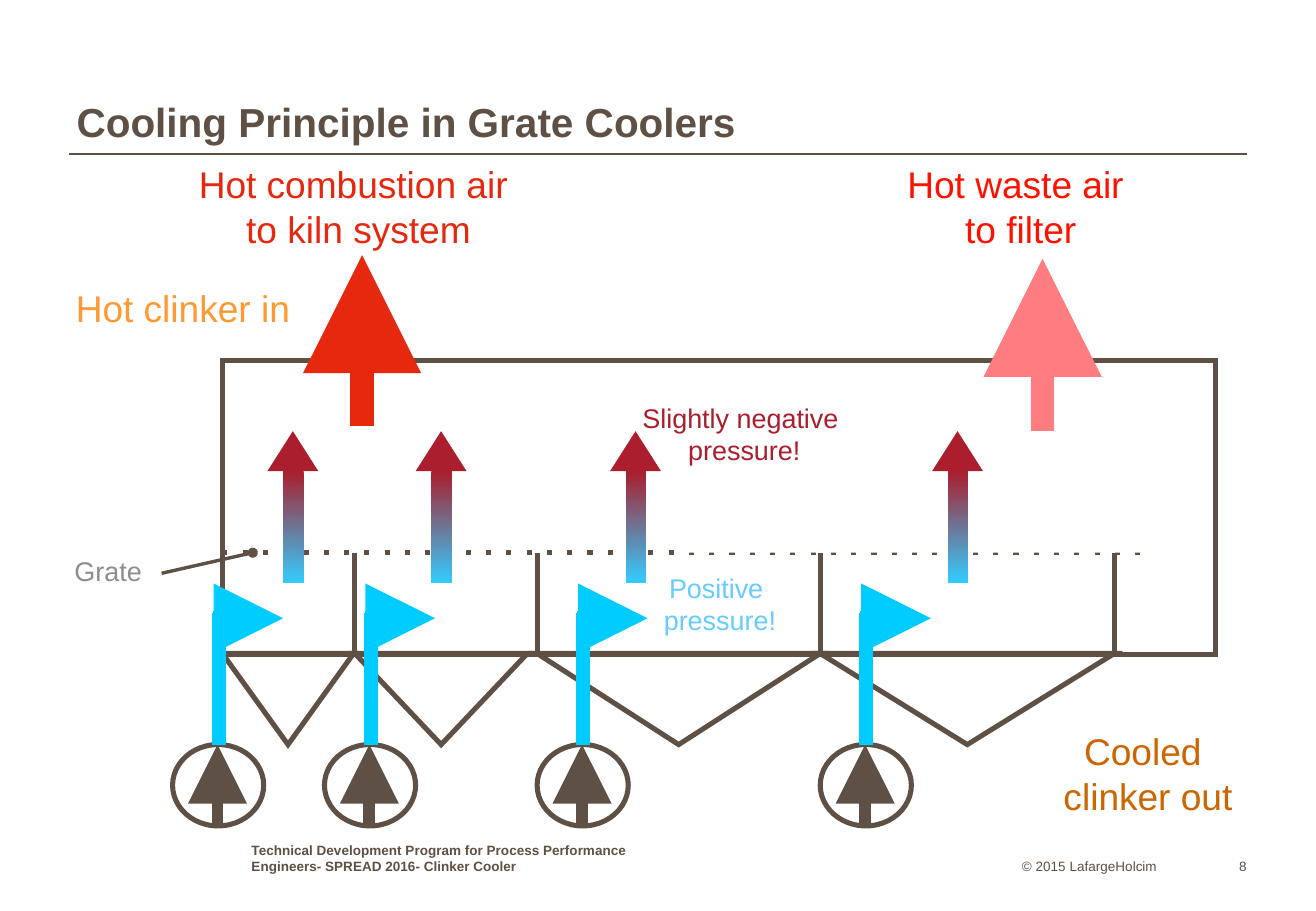
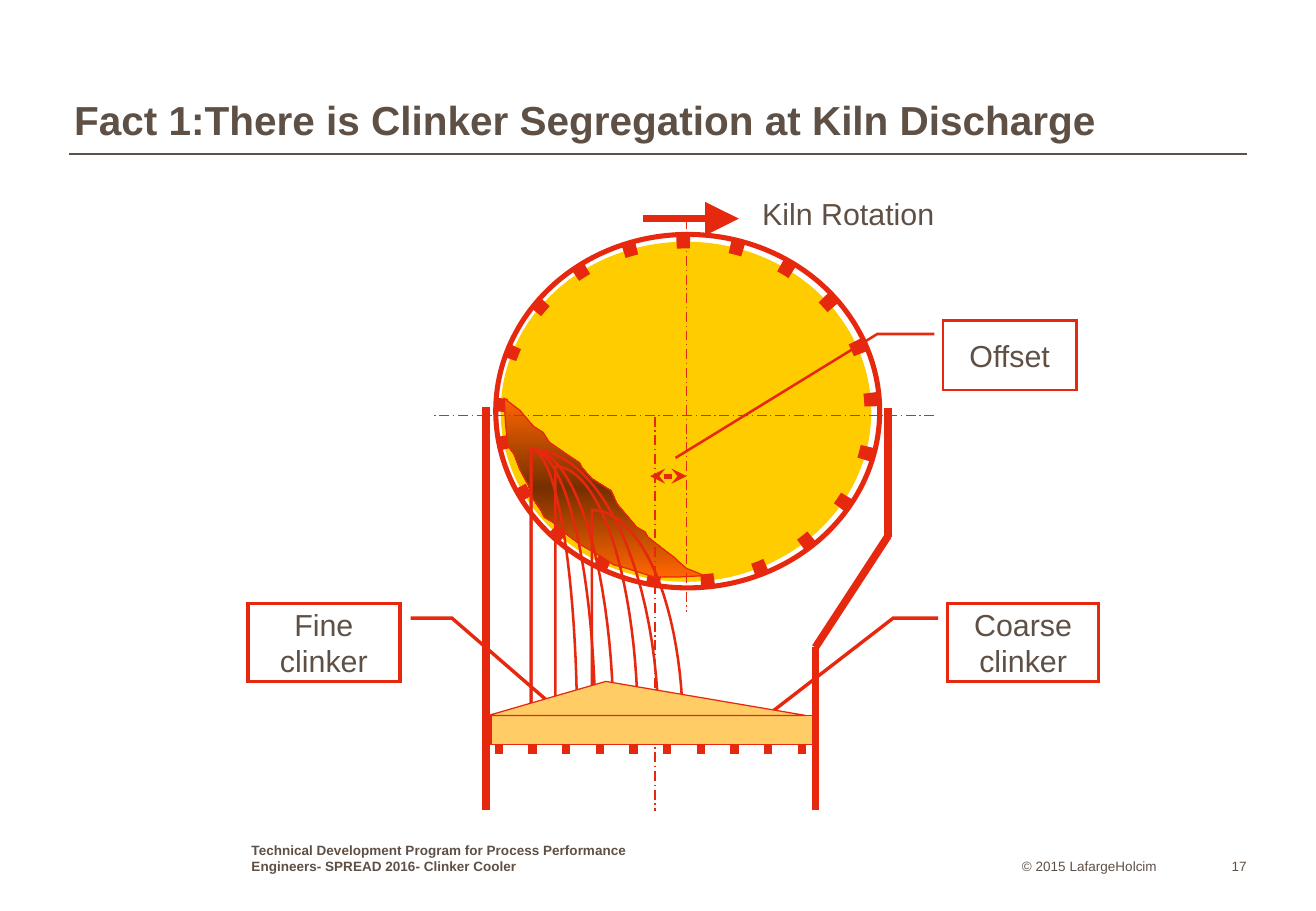
from copy import deepcopy
from math import cos, pi, sin

from lxml.etree import SubElement
from pptx import Presentation
from pptx.dml.color import RGBColor
from pptx.enum.shapes import MSO_CONNECTOR as Link, MSO_SHAPE as Kind
from pptx.enum.text import MSO_ANCHOR as Anchor, MSO_AUTO_SIZE as Fit, PP_ALIGN as Align
from pptx.oxml.ns import qn
from pptx.util import Pt

PX = 9144  # one hundred px to the inch
FONT = "Arial"
BROWN = RGBColor(0x5F, 0x50, 0x46)
RED = RGBColor(0xE6, 0x28, 0x0F)
BRIGHT = RGBColor(0xFF, 0x11, 0x00)
PINK = RGBColor(0xFF, 0x7C, 0x80)
WINE = RGBColor(0xAA, 0x1E, 0x2D)
BLUE = RGBColor(0x33, 0xCC, 0xFF)
CYAN = RGBColor(0x00, 0xCC, 0xFF)
PALE = RGBColor(0x66, 0xCC, 0xFF)
AMBER = RGBColor(0xFF, 0x99, 0x33)
RUST = RGBColor(0xCC, 0x66, 0x00)
GREY = RGBColor(0x8B, 0x8D, 0x8E)
WHITE = RGBColor(0xFF, 0xFF, 0xFF)
YELLOW = RGBColor(0xFF, 0xCC, 0x00)
SAND = RGBColor(0xFF, 0xCC, 0x66)
FLAME = RGBColor(0xFF, 0x66, 0x00)
BURNT = RGBColor(0x76, 0x2F, 0x00)

# Shared wording
COURSE = ("Technical Development Program for Process Performance "
          "Engineers- SPREAD 2016- Clinker Cooler")
RIGHTS = "© 2015 LafargeHolcim"

# Cooler slide: lines of text, box, size, colour
COOLER = "Cooling Principle in Grate Coolers"
NOTES = [
    (["Positive ", "pressure!"], (531, 465, 123, 64), 16, PALE),
    (["Hot combustion air ", "to kiln system"], (140, 128, 310, 91), 22, RED),
    (["Slightly negative ", "pressure!"], (518, 325, 189, 64), 16, WINE),
    (["Hot waste air ", "to filter"], (727, 128, 226, 91), 22, BRIGHT),
    (["Hot clinker in"], (43, 230, 215, 51), 22, AMBER),
    (["Cooled", " clinker out"], (849, 595, 183, 91), 22, RUST),
    (["Grate"], (49, 452, 80, 37), 16, GREY),
]
WALLS = [292, 442, 675, 917]
HOPPERS = [(183, 291), (292, 434), (442, 675), (675, 917)]
RISERS = [220, 342, 502, 767]
FANS = [142, 267, 442, 675]
VENTS = [(298, 351, 210, RED), (858, 355, 213, PINK)]

# Kiln slide: text, box, leader points, line width
KILN = "Fact 1:There is Clinker Segregation at Kiln Discharge"
CALLS = [
    ("Fine clinker", (204, 497, 125, 64), [(338, 509), (372, 509), (492, 613)], 2),
    ("Coarse clinker", (780, 497, 124, 64), [(772, 509), (735, 509), (603, 611)], 2),
    ("Offset", (776, 264, 110, 57), [(769, 275), (722, 275), (556, 377)], 1.5),
]
SHELL = [(731, 336, 731, 442), (731, 441, 671, 533),
         (671, 533, 671, 667), (400, 335, 400, 667)]
AXES = [(565, 180, 565, 504), (769, 342, 355, 342), (539, 343, 539, 668)]
# Falling clinker: start x, y, reach, drop
FALLS = [(437, 370, 38, 233), (437, 370, 53, 233), (437, 370, 68, 233),
         (437, 370, 105, 233), (457, 384, 68, 217), (487, 420, 75, 181)]
CHARGE = [
    (575, 472), (565, 468), (558, 462), (555, 459), (547, 453), (533, 442),
    (531, 438), (524, 434), (508, 415), (503, 404), (487, 394), (479, 385),
    (477, 381), (465, 373), (452, 364), (447, 356), (439, 351), (428, 338),
    (415, 328), (416, 348), (418, 367), (423, 374), (428, 387), (435, 400),
    (438, 410), (445, 420), (448, 426), (455, 430), (465, 439), (477, 448),
    (496, 459), (505, 465), (516, 468), (538, 475), (560, 475), (579, 474),
]


def emu(*sizes):
    return [round(n * PX) for n in sizes]


def ink(shape, color, width, dash=None, head=None, tail=None, size="med"):
    """Style an outline, with dash and arrowheads if asked for."""
    shape.line.color.rgb = color
    shape.line.width = Pt(width)
    ln = shape.element.spPr.find(qn("a:ln"))
    if dash:
        SubElement(ln, qn("a:prstDash"), val=dash)
    SubElement(ln, qn("a:miter"), lim="800000")
    for tag, end in (("a:headEnd", head), ("a:tailEnd", tail)):
        if end:
            SubElement(ln, qn(tag), type=end, w=size, len=size)


def draw(slide, ends, color, width, **style):
    line = slide.shapes.add_connector(Link.STRAIGHT, *emu(*ends))
    ink(line, color, width, **style)
    SubElement(line.element.spPr, qn("a:effectLst"))
    return line


def paint(shape, fill=None, line=None, width=1, dash=None):
    """Fill with nothing, one colour, or a list of colours from the top down."""
    shape.shadow.inherit = False
    if isinstance(fill, list):
        shape.fill.gradient()
        shape.fill.gradient_angle = 270
        stops = shape.element.spPr.find(".//" + qn("a:gsLst"))
        for _ in fill[2:]:
            stops.append(deepcopy(stops[0]))
        for i, (stop, color) in enumerate(zip(shape.fill.gradient_stops, fill)):
            stop.position = i / (len(fill) - 1)
            stop.color.rgb = color
    elif fill is None:
        shape.fill.background()
    else:
        shape.fill.solid()
        shape.fill.fore_color.rgb = fill
    if line is None:
        shape.line.fill.background()
    else:
        ink(shape, line, width, dash)
    return shape


def form(slide, kind, box, **style):
    return paint(slide.shapes.add_shape(kind, *emu(*box)), **style)


def trace(slide, points, **style):
    first, *rest = [emu(*p) for p in points]
    pen = slide.shapes.build_freeform(*first, scale=1.0)
    pen.add_line_segments(rest, close=True)
    return paint(pen.convert_to_shape(), **style)


def write(shape, lines, size, color, align=Align.CENTER, anchor=Anchor.TOP,
          bold=False, pads=(10, 5, 10, 5), wrap=True):
    frame = shape.text_frame
    frame.auto_size = Fit.NONE
    frame.word_wrap = wrap
    frame.vertical_anchor = anchor
    (frame.margin_left, frame.margin_top,
     frame.margin_right, frame.margin_bottom) = emu(*pads)
    para = frame.paragraphs[0]
    para.alignment = align
    for i, line in enumerate(lines):
        if i:
            para.add_line_break()
        run = para.add_run()
        run.text = line
        font = run.font
        font.name, font.size, font.bold = FONT, Pt(size), bold
        font.color.rgb = color
    return para


def label(slide, lines, box, size, color, **style):
    return write(slide.shapes.add_textbox(*emu(*box)), lines, size, color, **style)


def start(deck, title, left, top, number):
    """New slide with title, rule and footer."""
    slide = deck.slides.add_slide(deck.slide_layouts[5])
    head = slide.shapes.title
    head.left, head.top, head.width, head.height = emu(left, top, 960, 87)
    para = write(head, [title], 24, BROWN, align=Align.LEFT,
                 anchor=Anchor.BOTTOM, bold=True, pads=(0, 0, 0, 1))
    para.line_spacing = 0.95
    draw(slide, (57, 127, 1026, 127), BROWN, 1)
    foot = [(COURSE, 207, 347, Align.LEFT, True, True),
            (RIGHTS, 841, 132, Align.LEFT, False, False),
            (number, 979, 47, Align.RIGHT, False, True)]
    for text, x, width, align, bold, wrap in foot:
        label(slide, [text], (x, 702, width, 18), 8, BROWN, align=align,
              anchor=Anchor.BOTTOM, bold=bold, pads=(0, 0, 0, 0), wrap=wrap)
    return slide


def cooler(deck):
    slide = start(deck, COOLER, 63, 35, "8")
    # Housing, grate and hoppers
    form(slide, Kind.RECTANGLE, (183, 297, 817, 242), line=BROWN, width=3)
    draw(slide, (183, 455, 942, 455), BROWN, 3, dash="dot")
    for x in WALLS:
        draw(slide, (x, 455, x, 538), BROWN, 3)
    for left, right in HOPPERS:
        cone = form(slide, Kind.ISOSCELES_TRIANGLE, (left, 538, right - left, 75),
                    line=BROWN, width=3)
        cone.rotation = 180
    # Thin the right part of the grate
    form(slide, Kind.RECTANGLE, (558, 405, 383, 50), fill=WHITE)
    # Rising air
    for x in RISERS:
        form(slide, Kind.RECTANGLE, (x + 13, 388, 17, 92), fill=[WINE, BLUE])
        form(slide, Kind.ISOSCELES_TRIANGLE, (x, 355, 42, 33), fill=WINE)
    for x, low, high, color in VENTS:
        draw(slide, (x, low, x, high), color, 14, tail="triangle", size="lg")
    for lines, box, size, color in NOTES:
        anchor = Anchor.MIDDLE if "pressure!" in lines else Anchor.TOP
        label(slide, lines, box, size, color, anchor=anchor)
    draw(slide, (133, 472, 208, 455), BROWN, 2, tail="oval")
    # Fans with their pipes
    for x in FANS:
        form(slide, Kind.OVAL, (x, 613, 75, 67), line=BROWN, width=3)
        draw(slide, (x + 37, 680, x + 37, 613), BROWN, 7, tail="triangle", size="lg")
        draw(slide, (x + 33, 509, x + 91, 509), CYAN, 8.25, tail="triangle", size="lg")
        draw(slide, (x + 38, 613, x + 38, 505), CYAN, 8.25)


def kiln(deck):
    slide = start(deck, KILN, 61, 33, "17")
    # Kiln shell and cooler walls
    form(slide, Kind.OVAL, (412, 199, 305, 280), fill=YELLOW, line=RED, width=8, dash="dot")
    form(slide, Kind.OVAL, (408, 193, 316, 291), line=RED, width=3)
    draw(slide, (529, 180, 608, 180), RED, 4, tail="triangle", size="lg")
    for ends in SHELL:
        draw(slide, ends, RED, 4.5)
    draw(slide, (407, 617, 663, 617), RED, 5, dash="dot")
    trace(slide, CHARGE, fill=[FLAME, BURNT, FLAME], line=RED, width=0.75)
    # Centre lines and their offset
    for ends in AXES:
        draw(slide, ends, RED, 0.75, dash="lgDashDot")
    draw(slide, (535, 392, 565, 392), RED, 3, head="stealth", tail="stealth")
    # Callouts
    for text, box, points, width in CALLS:
        call = form(slide, Kind.LINE_CALLOUT_2, box, line=RED, width=width)
        left, top, wide, high = box
        for i, (x, y) in enumerate(points):
            call.adjustments[2 * i] = (y - top) / high
            call.adjustments[2 * i + 1] = (x - left) / wide
        write(call, [text], 18, BROWN, anchor=Anchor.MIDDLE)
    # Falling clinker: quarter ellipses closed at the left
    for x, y, reach, drop in FALLS:
        turns = [pi / 2 * i / 24 for i in range(25)]
        curve = [(x + reach * sin(t), y + drop * (1 - cos(t))) for t in turns]
        trace(slide, curve + [(x, y + drop)], line=RED, width=1.5)
    # Clinker bed
    form(slide, Kind.RECTANGLE, (404, 589, 265, 24), fill=SAND, line=RED, width=0.75)
    heap = form(slide, Kind.ISOSCELES_TRIANGLE, (402, 561, 261, 28),
                fill=SAND, line=RED, width=0.75)
    heap.adjustments[0] = 0.37
    label(slide, ["Kiln Rotation"], (604, 156, 188, 52), 18, BROWN)


def main():
    deck = Presentation()
    deck.slide_width, deck.slide_height = emu(1083, 750)
    cooler(deck)
    kiln(deck)
    deck.save("out.pptx")


if __name__ == "__main__":
    main()
